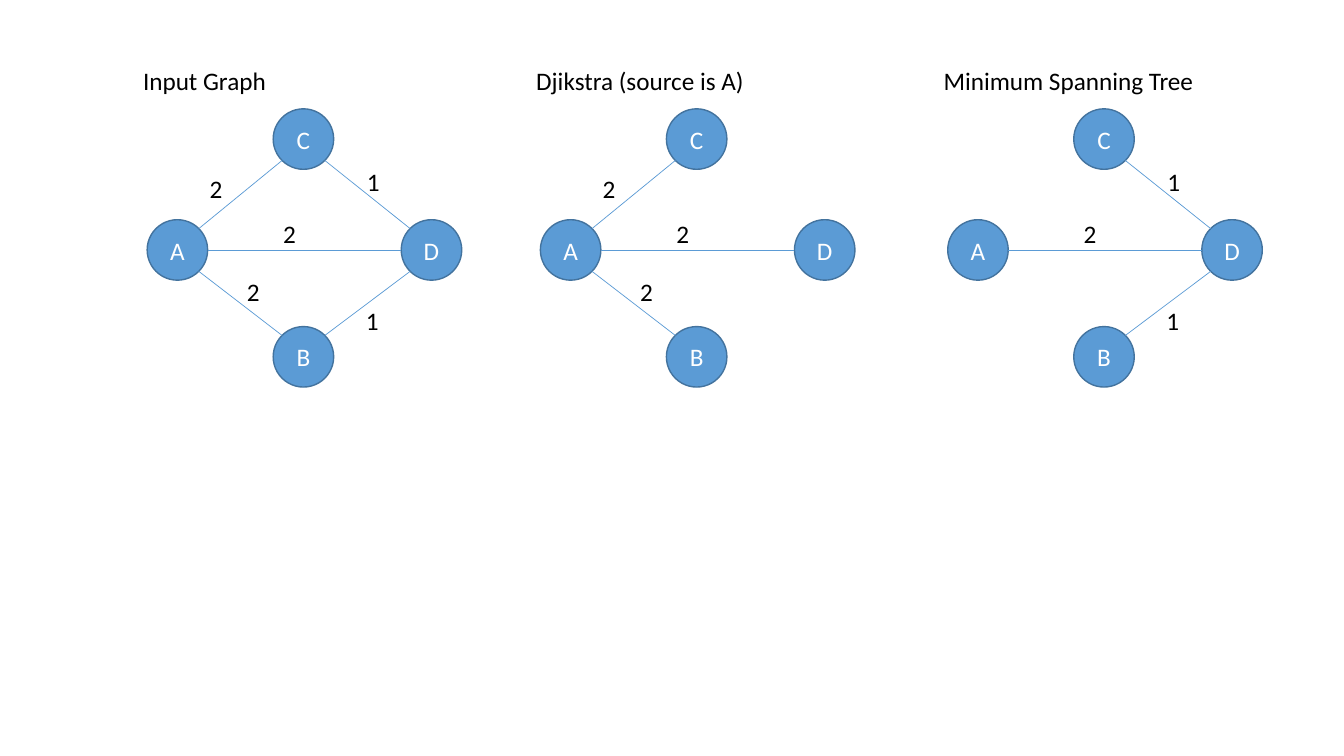
from math import cos, pi, sin

from lxml import etree
from pptx import Presentation
from pptx.dml.color import RGBColor
from pptx.enum.shapes import MSO_CONNECTOR, MSO_SHAPE
from pptx.enum.text import MSO_ANCHOR, MSO_AUTO_SIZE, PP_ALIGN
from pptx.oxml.ns import qn
from pptx.util import Inches, Pt

OVAL, STRAIGHT = MSO_SHAPE.OVAL, MSO_CONNECTOR.STRAIGHT
MIDDLE, CENTER = MSO_ANCHOR.MIDDLE, PP_ALIGN.CENTER
LEFT, GROW = PP_ALIGN.LEFT, MSO_AUTO_SIZE.SHAPE_TO_FIT_TEXT
BLANK_LAYOUT = 6

# Lengths in inches; columns count from the left of a graph
COLUMN_LEFTS = (0, 1.25, 2.52)
ROW_TOPS = (1.08, 2.18, 3.24)
NODE_SIZE = 0.6
LABEL_WIDTH, TEXT_HEIGHT = 0.33, 0.4
HEADING_TOP, HEADING_INDENT = 0.6, -0.14

# Node name: column, row
NODES = {"A": (0, 1), "C": (1, 0), "B": (1, 2), "D": (2, 1)}

# Edge: connection sites of its two nodes, weight, label offset and top.
# Sites run counterclockwise from the top of the circle in eighths.
EDGES = {
    "AC": (7, 3, "2", 0.52, 1.67),
    "DC": (1, 5, "1", 2.08, 1.6),
    "BA": (1, 5, "2", 0.89, 2.69),
    "DB": (3, 7, "1", 2.07, 2.98),
    "AD": (6, 2, "2", 1.25, 2.12),
}

# Heading, heading width, left of graph, edges shown
GRAPHS = (
    ("Input Graph", 1.49, 1.46, ("AC", "DC", "BA", "DB", "AD")),
    ("Djikstra (source is A)", 3.12, 5.36, ("AC", "BA", "AD")),
    ("Minimum Spanning Tree", 3.26, 9.4, ("DC", "DB", "AD")),
)


def color(hex_string):
    return RGBColor.from_string(hex_string)


def set_line(shape, hex_string, width):
    shape.line.color.rgb = color(hex_string)
    shape.line.width = Pt(width)


def write_text(shape, text, hex_string, alignment, **frame_format):
    frame = shape.text_frame
    for name, value in frame_format.items():
        setattr(frame, name, value)
    paragraph = frame.paragraphs[0]
    paragraph.alignment = alignment
    run = paragraph.add_run()
    run.text = text
    for name, value in {"name": "Calibri", "size": Pt(18)}.items():
        setattr(run.font, name, value)
    run.font.color.rgb = color(hex_string)


def add_node(group, name, graph_left):
    column, row = NODES[name]
    left = graph_left + COLUMN_LEFTS[column]
    node = group.shapes.add_shape(OVAL, Inches(left), Inches(ROW_TOPS[row]),
                                  Inches(NODE_SIZE), Inches(NODE_SIZE))
    node.shadow.inherit = False
    node.fill.solid()
    node.fill.fore_color.rgb = color("5B9BD5")
    set_line(node, "43739E", 1)
    write_text(node, name, "FFFFFF", CENTER, vertical_anchor=MIDDLE)
    return node


def site_position(node, site):
    angle = site * pi / 4
    radius = node.width / 2
    return (round(node.left + radius * (1 - sin(angle))),
            round(node.top + radius * (1 - cos(angle))))


def add_edge(group, start, start_site, end, end_site):
    edge = group.shapes.add_connector(
        STRAIGHT, *site_position(start, start_site), *site_position(end, end_site))
    set_line(edge, "5B9BD5", 0.5)
    etree.SubElement(edge.element.spPr, qn("a:effectLst"))
    # Attach both ends to the circles
    links = edge.element.find(".//" + qn("p:cNvCxnSpPr"))
    for tag, node, site in (("a:stCxn", start, start_site), ("a:endCxn", end, end_site)):
        etree.SubElement(links, qn(tag), id=str(node.shape_id), idx=str(site))


def add_text(group, text, left, top, width, wrap):
    box = group.shapes.add_textbox(Inches(left), Inches(top),
                                   Inches(width), Inches(TEXT_HEIGHT))
    write_text(box, text, "000000", LEFT, word_wrap=wrap, auto_size=GROW)


def add_graph(slide, heading, heading_width, left, edge_names):
    group = slide.shapes.add_group_shape()
    nodes = {name: add_node(group, name, left) for name in NODES}
    # Edges, then their weights on top
    for name in edge_names:
        start_site, end_site = EDGES[name][:2]
        add_edge(group, nodes[name[0]], start_site, nodes[name[1]], end_site)
    for name in edge_names:
        weight, offset, top = EDGES[name][2:]
        add_text(group, weight, left + offset, top, LABEL_WIDTH, False)
    add_text(group, heading, left + HEADING_INDENT, HEADING_TOP, heading_width, True)


def main():
    presentation = Presentation()
    presentation.slide_width = Inches(13.33)
    presentation.slide_height = Inches(7.5)
    slide = presentation.slides.add_slide(presentation.slide_layouts[BLANK_LAYOUT])
    for graph in GRAPHS:
        add_graph(slide, *graph)
    presentation.save("out.pptx")


main()
